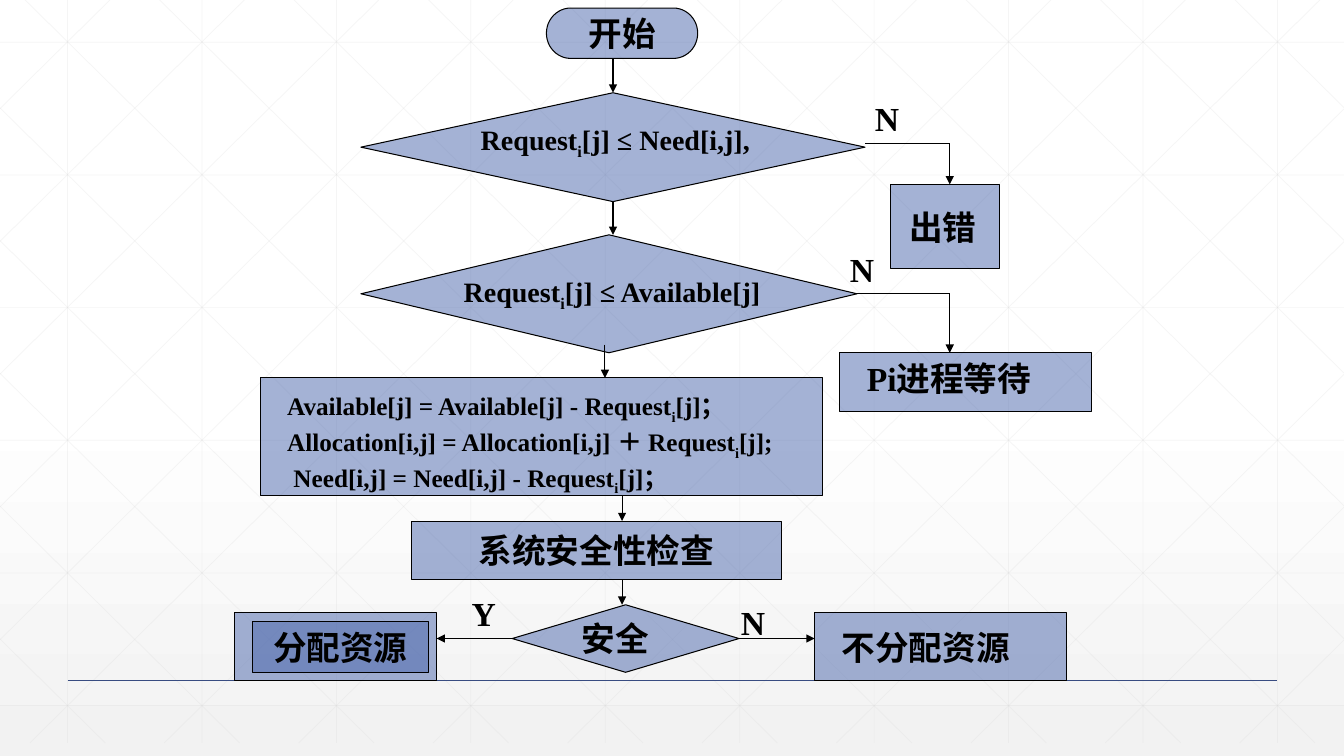
from lxml import etree
from pptx import Presentation
from pptx.dml.color import RGBColor
from pptx.enum.shapes import MSO_CONNECTOR, MSO_SHAPE
from pptx.enum.text import MSO_ANCHOR, PP_ALIGN
from pptx.oxml.ns import qn
from pptx.util import Inches, Pt

STRAIGHT = MSO_CONNECTOR.STRAIGHT
TERMINATOR = MSO_SHAPE.FLOWCHART_TERMINATOR
DECISION = MSO_SHAPE.FLOWCHART_DECISION
PROCESS = MSO_SHAPE.FLOWCHART_PROCESS
RECTANGLE = MSO_SHAPE.RECTANGLE
MIDDLE = MSO_ANCHOR.MIDDLE
CENTER = PP_ALIGN.CENTER
JUSTIFY = PP_ALIGN.JUSTIFY
TOP, LEFT, BOTTOM, RIGHT = range(4)

COLORS = {
    "paper": "FFFFFF",
    "shade": "F2F2F2",
    "grid": "D9D9D9",
    "rule": "384C81",
    "node": "4A66AC",
    "ink": "000000",
}
FONT = "Times New Roman"
WIDTH, HEIGHT = 13.33, 7.5


def color(name):
    return RGBColor.from_string(COLORS[name])


def set_alpha(properties, percent):
    srgb = next(properties.iter(qn("a:srgbClr")))
    etree.SubElement(srgb, qn("a:alpha")).set("val", str(percent * 1000))


def add_line(slide, start, end, name="ink", weight=0.75, arrow=False):
    connector = slide.shapes.add_connector(
        STRAIGHT, *(Inches(value) for value in (*start, *end)))
    connector.line.color.rgb = color(name)
    connector.line.width = Pt(weight)
    properties = connector._element.spPr
    if arrow:
        line = properties.find(qn("a:ln"))
        etree.SubElement(line, qn("a:tailEnd")).set("type", "triangle")
    etree.SubElement(properties, qn("a:effectLst"))
    return connector


def write_parts(paragraph, parts, size):
    for index, text in enumerate(parts):
        run = paragraph.add_run()
        run.text = text
        run.font.name = FONT
        run.font.size = Pt(size)
        run.font.bold = True
        run.font.color.rgb = color("ink")
        if index % 2:
            run.font._element.set("baseline", "-25000")


def add_node(slide, kind, box, text=None):
    shape = slide.shapes.add_shape(kind, *(Inches(value) for value in box))
    shape.shadow.inherit = False
    shape.fill.solid()
    shape.fill.fore_color.rgb = color("node")
    set_alpha(shape._element.spPr, 50)
    shape.line.color.rgb = color("ink")
    shape.line.width = Pt(0.75)
    if text:
        frame = shape.text_frame
        frame.word_wrap = False
        frame.vertical_anchor = MIDDLE
        frame.paragraphs[0].alignment = CENTER
        write_parts(frame.paragraphs[0], [text], 24)
    return shape


def add_label(slide, box, parts, size=24):
    label = slide.shapes.add_textbox(*(Inches(value) for value in box))
    label.text_frame.word_wrap = True
    write_parts(label.text_frame.paragraphs[0], parts, size)
    return label


def draw_background(slide):
    fill = slide.background.fill
    fill.gradient()
    fill.gradient_angle = 270
    for stop, name, position in zip(
            fill.gradient_stops, ("paper", "shade"), (0.53, 1)):
        stop.color.rgb = color(name)
        stop.position = position

    bottom, step, reach = 7.37, 4 / 3, 7.46
    slope = bottom / reach
    segments = []
    for index in range(10):
        x = 0.67 + index * step
        segments.append(((x, 0), (x, bottom)))
    for index in range(6):
        y = 0.42 + index * 1.316
        segments.append(((0, y), (WIDTH, y)))
    for index in range(15):
        x = 0.25 + (index - 5) * step
        left, right = max(x, 0), min(x + reach, WIDTH)
        segments.append(((left, (left - x) * slope), (right, (right - x) * slope)))
        x = 1.09 + index * step
        left, right = max(x - reach, 0), min(x, WIDTH)
        segments.append(((right, (x - right) * slope), (left, (x - left) * slope)))
    for start, end in segments:
        set_alpha(add_line(slide, start, end, "grid", 0.5)._element.spPr, 25)
    add_line(slide, (0.67, 6.75), (12.67, 6.75), "rule", 1)


def draw_check(slide, box, condition, condition_box, no_offset, exit_drop,
               outcome_box, outcome, outcome_label_box):
    left, top, width, height = box
    right = left + width
    decision = add_node(slide, DECISION, box)
    text_left, text_top, text_width = condition_box
    add_label(slide, (left + text_left, top + text_top, text_width, 0.43),
              condition, 20)
    add_node(slide, RECTANGLE, outcome_box)
    label_left, label_top, label_width = outcome_label_box
    add_label(slide, (outcome_box[0] + label_left, outcome_box[1] + label_top,
                      label_width, 0.5), [outcome])
    corner = (9.42, top + exit_drop)
    branch = add_line(slide, (right, corner[1]), corner)
    if abs(exit_drop - height / 2) < 0.02:
        branch.begin_connect(decision, RIGHT)
    add_line(slide, corner, (corner[0], outcome_box[1]), arrow=True)
    add_label(slide, (right + no_offset[0], top + no_offset[1], 0.5, 0.5), ["N"])
    return decision


def draw_request_checks(slide, box):
    left, top, width, height = box
    center = left + 2.5
    add_node(slide, TERMINATOR, (left + 1.84, top, 1.5, 0.5), "开始")
    need = draw_check(
        slide, (left, top + 0.84, width, 1.08),
        ["Request", "i", "[j] ≤ Need[i,j],"], (1.09, 0.25, 3),
        (0, 0), 0.5, (8.83, top + 1.75, 1.08, 0.83), "出错", (0.09, 0.17, 0.98))
    available = draw_check(
        slide, (left, top + 2.25, width - 0.08, 1.17),
        ["Request", "i", "[j] ≤ Available[j]"], (0.92, 0.34, 3.92),
        (-0.17, 0.09), 0.585, (8.33, top + 3.42, 2.5, 0.58),
        "Pi进程等待", (0.17, 0, 2.23))
    entry = add_line(slide, (center, top + 0.5), (center, top + 0.84), arrow=True)
    entry.end_connect(need, TOP)
    passed = add_line(slide, (center, top + 1.92),
                      (center, available.top / Inches(1)), arrow=True)
    passed.begin_connect(need, BOTTOM)
    add_line(slide, (left + 2.42, top + height - 0.08),
             (left + 2.42, top + height + 0.25), arrow=True)


def draw_update(slide, box):
    left, top, width, height = box
    add_node(slide, PROCESS, box)
    statements = [
        ["Available[j] = Available[j] - Request", "i", "[j]；"],
        ["Allocation[i,j] = Allocation[i,j] ＋ Request", "i", "[j];"],
        [" Need[i,j] = Need[i,j] - Request", "i", "[j]；"],
    ]
    label = add_label(slide, (left + 0.17, top + 0.08, 5.25, 1.49),
                      statements[0], 18)
    frame = label.text_frame
    for statement in statements[1:]:
        paragraph = frame.add_paragraph()
        paragraph.space_before = Pt(3.6)
        write_parts(paragraph, statement, 18)
    for paragraph in frame.paragraphs:
        paragraph.alignment = JUSTIFY
        paragraph.line_spacing = 0.9


def draw_safety(slide, box):
    left, top, width, height = box
    flow = left + 3.84
    add_node(slide, PROCESS, (left + 1.75, top, 3.67, 0.58), "系统安全性检查")
    for start, end in ((-0.25, 0), (0.58, 0.83)):
        add_line(slide, (flow, top + start), (flow, top + end), arrow=True)
    safe = add_node(slide, DECISION, (left + 2.75, top + 0.83, 2.25, 0.67))
    add_label(slide, (left + 3.34, top + 0.91, 0.92, 0.5), ["安全"])
    result_top = top + height - 0.67
    add_node(slide, PROCESS, (left, result_top, 2, 0.67))
    add_node(slide, RECTANGLE, (left + 0.17, result_top + 0.09, 1.75, 0.5),
             "分配资源")
    add_node(slide, PROCESS, (left + width - 2.5, result_top, 2.5, 0.67))
    add_label(slide, (left + width - 2.33, result_top + 0.09, 2, 0.5),
              ["不分配资源"])
    branches = (
        ("Y", 2.25, 0.66, 2.75, 2, LEFT),
        ("N", 4.92, 0.75, 5, width - 2.5, RIGHT),
    )
    for answer, label_left, label_top, start, end, side in branches:
        add_label(slide, (left + label_left, top + label_top, 0.5, 0.5), [answer])
        y = top + 1.165
        branch = add_line(slide, (left + start, y), (left + end, y), arrow=True)
        branch.begin_connect(safe, side)


def main():
    presentation = Presentation()
    presentation.slide_width = Inches(WIDTH)
    presentation.slide_height = Inches(HEIGHT)
    slide = presentation.slides.add_slide(presentation.slide_layouts[6])
    draw_background(slide)
    draw_request_checks(slide, (3.58, 0.08, 5, 3.42))
    draw_update(slide, (2.58, 3.75, 5.58, 1.17))
    draw_safety(slide, (2.33, 5.17, 8.25, 1.58))
    presentation.save("out.pptx")


if __name__ == "__main__":
    main()
